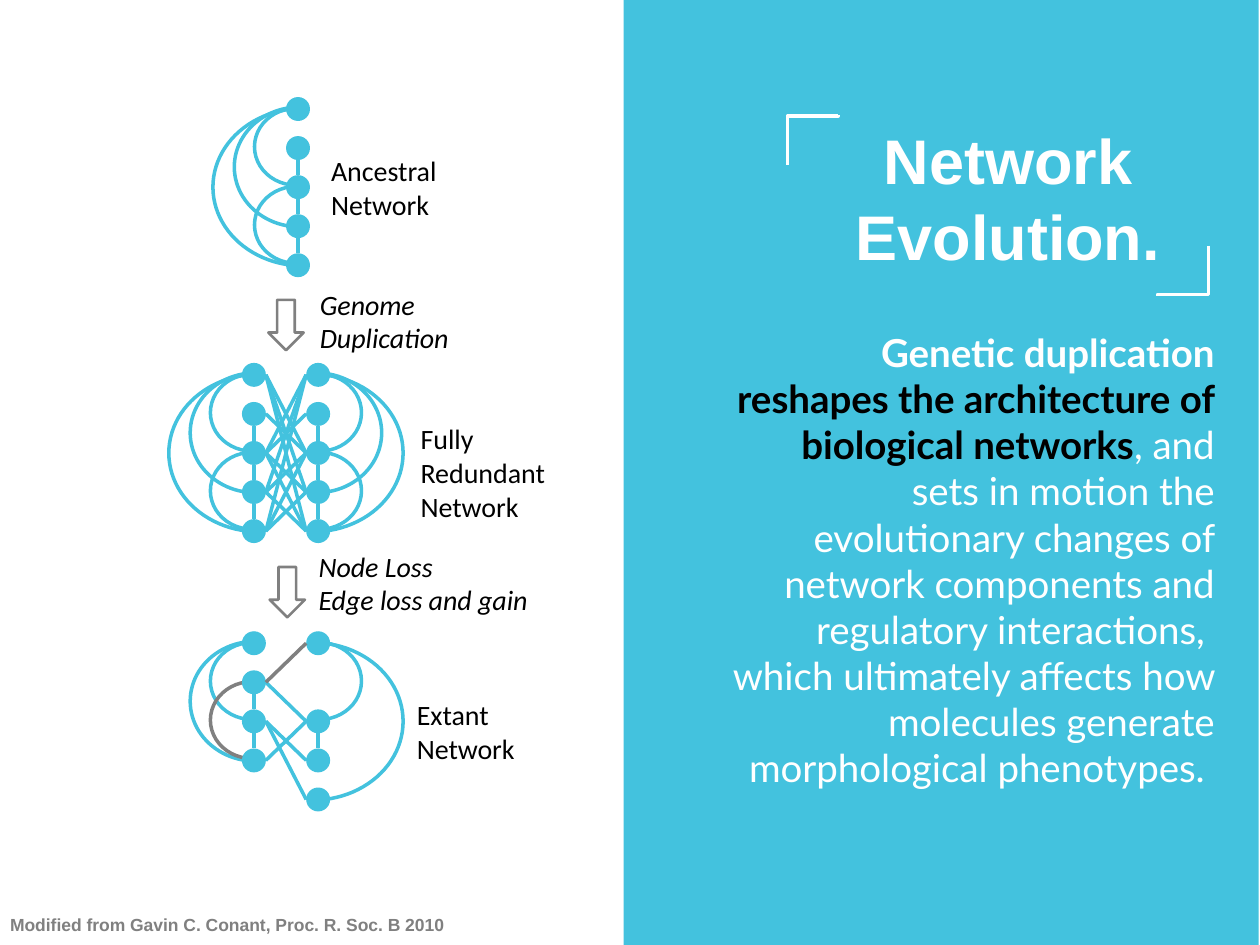
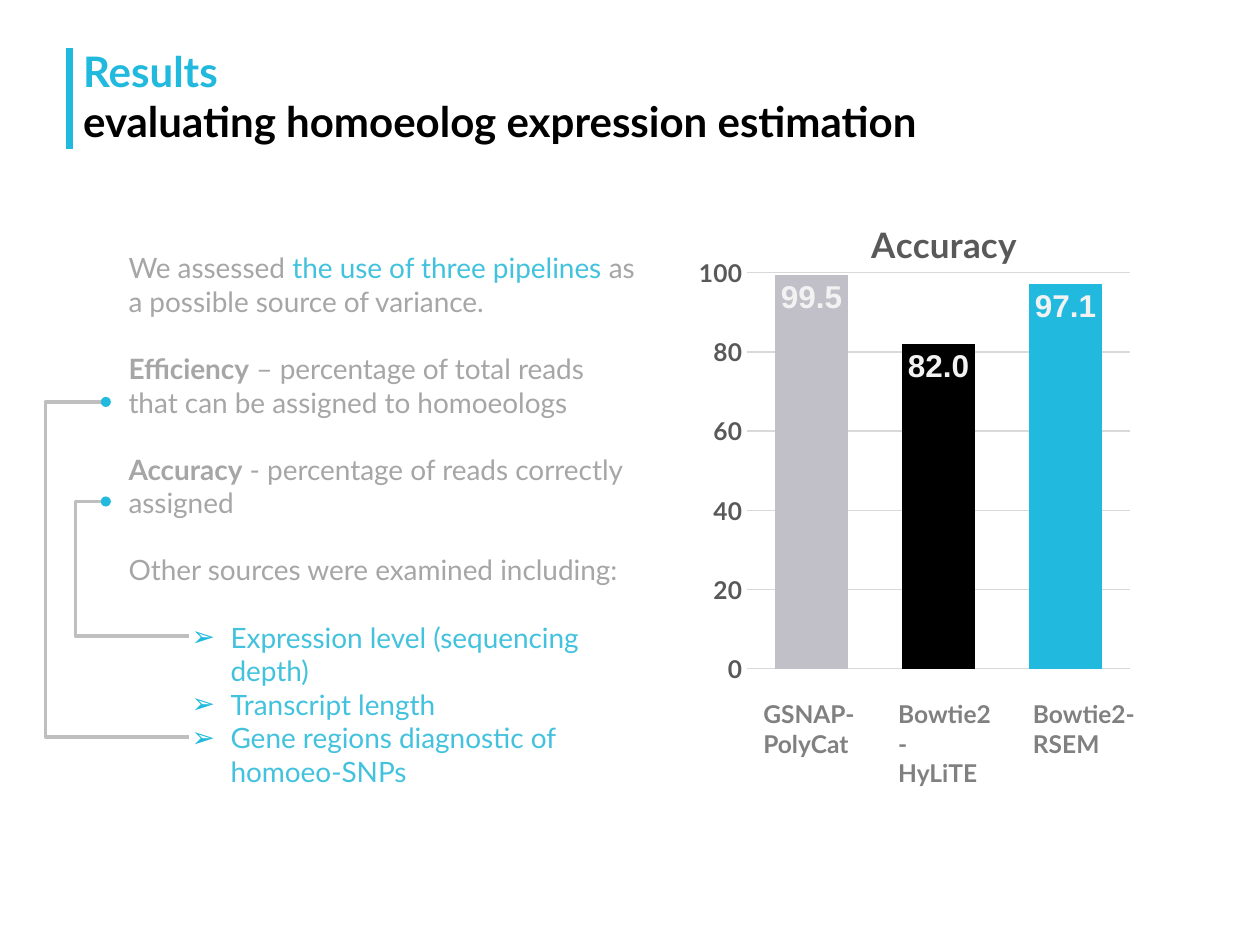
import pptx
import pptx.chart.data
import pptx.dml.color
import pptx.enum.chart
import pptx.enum.shapes
import pptx.enum.text
import pptx.oxml
import pptx.oxml.ns
import pptx.util

PX = 9144  # EMU in one px, 100 px to the inch
COLOURS = {
    "sky": "43C2DE", "cyan": "21B9DE", "white": "FFFFFF", "black": "000000",
    "grey": "808080", "pale": "A6A6A6", "silver": "BFBFBF", "lilac": "C1C0C8",
    "grid": "D9D9D9", "axis": "595959", "label": "F2F2F2",
}
SHAPE = pptx.enum.shapes.MSO_SHAPE
CONNECTOR = pptx.enum.shapes.MSO_CONNECTOR
ALIGN = pptx.enum.text.PP_ALIGN
LATO = {"name": "Lato"}
CAPTION = {"name": "Calibri", "size": 16, "color": "black"}
ITALIC = {**CAPTION, "italic": True}

NODE = 19
ROW_PITCH = 31
# rows spanned by an arc: (width, height, left and top relative to its upper node)
ARCS = {2: (66, 61, -25, 9), 3: (103, 95, -41, 8), 4: (143, 125, -58, 9)}
ANCESTRAL_EDGES = [(0, 4), (0, 2), (2, 4), (0, 3), (1, 2), (2, 3), (3, 4)]


def px(*lengths):
    return [pptx.util.Emu(length * PX) for length in lengths]


def rgb(colour):
    return pptx.dml.color.RGBColor.from_string(COLOURS[colour])


def set_font(font, formats):
    for name, value in formats.items():
        if name == "color":
            font.color.rgb = rgb(value)
        else:
            setattr(font, name, pptx.util.Pt(value) if name == "size" else value)


def add_element(parent, tag, **attributes):
    child = pptx.oxml.ns.qn(tag)
    child = parent.makeelement(child, attributes)
    parent.append(child)
    return child


def write(frame, paragraphs, align=ALIGN.LEFT, **frame_formats):
    """Fill a frame; each paragraph is a list of (text, formats) runs."""
    formats = {"word_wrap": True, "auto_size": pptx.enum.text.MSO_AUTO_SIZE.NONE,
               "vertical_anchor": pptx.enum.text.MSO_ANCHOR.TOP, **frame_formats}
    for name, value in formats.items():
        setattr(frame, name, value)
    for index, runs in enumerate(paragraphs):
        paragraph = frame.add_paragraph() if index else frame.paragraphs[0]
        paragraph.alignment = align
        paragraph.space_before = pptx.util.Pt(0)
        for text, run_formats in runs:
            run = paragraph.add_run()
            run.text = text
            set_font(run.font, run_formats)


def move(shape, box):
    for name, value in zip(("left", "top", "width", "height"), px(*box)):
        setattr(shape, name, value)


def add_caption(slide, box, lines, formats=CAPTION, **frame_formats):
    frame = slide.shapes.add_textbox(*px(*box)).text_frame
    write(frame, [[(line, formats)] for line in lines], **frame_formats)


def add_shape(slide, kind, box, fill=None, line=None, width=2):
    shape = slide.shapes.add_shape(kind, *px(*box))
    shape.shadow.inherit = False
    if fill:
        shape.fill.solid()
        shape.fill.fore_color.rgb = rgb(fill)
    else:
        shape.fill.background()
    if line:
        shape.line.color.rgb = rgb(line)
        shape.line.width = pptx.util.Pt(width)
    else:
        shape.line.fill.background()
    return shape


def add_line(slide, start, end, colour, width=2, kind=CONNECTOR.STRAIGHT):
    line = slide.shapes.add_connector(kind, *px(*start, *end))
    line.line.color.rgb = rgb(colour)
    line.line.width = pptx.util.Pt(width)
    add_element(line._element.spPr, "a:effectLst")
    return line


def add_elbow(slide, start, end, colour, bend, degrees=0):
    """Draw a bent connector that turns at a percentage of its width."""
    properties = add_line(slide, start, end, colour, kind=CONNECTOR.ELBOW)._element.spPr
    guides = properties.prstGeom.get_or_add_avLst()
    add_element(guides, "a:gd", name="adj1", fmla=f"val {round(bend * 1000)}")
    if degrees:
        properties.xfrm.set("rot", str(degrees * 60000))


def strip_bullet(paragraph):
    properties = paragraph._p.get_or_add_pPr()
    properties.set("marL", "0")
    properties.set("indent", "0")
    add_element(properties, "a:buNone")


def add_arrow_bullet(paragraph):
    indent, hanging = px(81, -31)
    properties = paragraph._p.get_or_add_pPr()
    properties.set("marL", str(indent))
    properties.set("indent", str(hanging))
    colour = add_element(properties, "a:buClr")
    add_element(colour, "a:srgbClr", val=COLOURS["cyan"])
    add_element(properties, "a:buFont", typeface="Arial")
    add_element(properties, "a:buChar", char="➢")


def gene_column(slide, left, top, rows, edges, mirrored=False, gained=()):
    """Stack nodes; neighbours get a straight edge, the others an arc."""
    for upper, lower in edges:
        colour = "grey" if (upper, lower) in gained else "sky"
        y = top + upper * ROW_PITCH
        if lower - upper == 1:
            x = left + NODE / 2
            add_line(slide, (x, y + NODE), (x, y + ROW_PITCH), colour)
            continue
        width, height, dx, dy = ARCS[lower - upper]
        if mirrored:
            dx = NODE - dx - width
        arc = add_shape(slide, SHAPE.ARC, (left + dx, y + dy, width, height), line=colour)
        # 54 is 90 degrees and 162 is 270 degrees
        for index, angle in enumerate((162, 54) if mirrored else (54, 162)):
            arc.adjustments[index] = angle
    for row in rows:
        add_shape(slide, SHAPE.OVAL, (left, top + row * ROW_PITCH, NODE, NODE), "sky")


def cross_edges(slide, left, right, top, edges, gained=()):
    for left_row, right_row in edges:
        start, end = (top + row * ROW_PITCH + NODE / 2 for row in (left_row, right_row))
        colour = "grey" if (left_row, right_row) in gained else "sky"
        add_line(slide, (left + NODE, start), (right, end), colour)


def ancestral_network(slide, left, top):
    gene_column(slide, left, top, range(5), ANCESTRAL_EDGES)
    add_caption(slide, (left + 26, top + 40, 150, 64), ["Ancestral Network"])


def redundant_network(slide, left, top):
    right = left + 51
    gene_column(slide, left, top, range(5), ANCESTRAL_EDGES)
    gene_column(slide, right, top, range(5), ANCESTRAL_EDGES, mirrored=True)
    swapped = [(lower, upper) for upper, lower in ANCESTRAL_EDGES]
    cross_edges(slide, left, right, top, ANCESTRAL_EDGES + swapped)
    add_caption(slide, (left + 132, top + 42, 150, 91), ["Fully", "Redundant", "Network"])


def extant_network(slide, left, top):
    right = left + 51
    gene_column(slide, left, top, range(4), [(0, 2), (0, 3), (1, 2), (2, 3), (1, 3)],
                gained=[(1, 3)])
    gene_column(slide, right, top, (0, 2, 3, 4), [(0, 4), (0, 2), (2, 3)], mirrored=True)
    cross_edges(slide, left, right, top, [(2, 4), (2, 3), (3, 2), (1, 2), (1, 0)],
                gained=[(1, 0)])
    add_caption(slide, (left + 129, top + 48, 150, 64), ["Extant", "Network"])


def evolution_step(slide, left, top, caption_box, lines):
    add_shape(slide, SHAPE.DOWN_ARROW, (left, top, 28, 40), line="grey", width=1.5)
    add_caption(slide, caption_box, lines, ITALIC)


def message_panel(slide, left):
    panel = add_shape(slide, SHAPE.RECTANGLE, (left, 0, 504, 750), "sky")
    slide.shapes._spTree.insert(2, panel._element)

    title = slide.shapes.title
    move(title, (left + 143, 92, 324, 80))
    heading = {"name": "Arial", "size": 36, "color": "white", "bold": True}
    write(title.text_frame, [[("Network Evolution.", heading)]], ALIGN.CENTER)
    title.text_frame.paragraphs[0].line_spacing = pptx.util.Pt(43)
    for x, y, degrees in ((left + 130, 91, 90), (left + 424, 195, 270)):
        add_elbow(slide, (x + 40, y + 40), (x, y), "white", 96.7, degrees)

    message = slide.placeholders[1]
    move(message, (left + 72, 256, 407, 380))
    plain = {**LATO, "size": 22, "color": "white", "bold": False}
    strong = {**plain, "bold": True}
    write(message.text_frame, [[
        ("Genetic duplication ", strong),
        ("reshapes the architecture of biological networks", {**strong, "color": "black"}),
        (", and sets in motion the evolutionary changes of network components and "
         "regulatory interactions,  which ultimately affects how molecules generate "
         "morphological phenotypes. ", plain),
    ]], ALIGN.RIGHT)
    strip_bullet(message.text_frame.paragraphs[0])


def evolution_slide(deck):
    slide = deck.slides.add_slide(deck.slide_layouts[1])
    message_panel(slide, 495)
    ancestral_network(slide, 227, 77)
    evolution_step(slide, 213, 238, (244, 223, 150, 64), ["Genome", "Duplication"])
    redundant_network(slide, 192, 288)
    evolution_step(slide, 214, 450, (243, 431, 299, 64), ["Node Loss", "Edge loss and gain"])
    extant_network(slide, 192, 501)
    add_caption(slide, (8, 725, 429, 25), ["Modified from Gavin C. Conant, Proc. R. Soc. B 2010"],
                {"name": "Arial", "size": 10, "color": "grey", "bold": True},
                **{f"margin_{side}": 0 for side in ("left", "top", "right", "bottom")})


def results_title(slide, left, top):
    heading = {**LATO, "size": 24, "bold": True, "color": "cyan"}
    move(slide.shapes.title, (left + 1, top - 7, 743, 91))
    write(slide.shapes.title.text_frame, [
        [("Results", heading)],
        [("evaluating homoeolog expression estimation", {**heading, "color": "black"})],
    ])
    add_line(slide, (left, top), (left, top + 80), "cyan", 4)


def assessment_text(slide, box):
    plain = {**LATO, "size": 16, "color": "pale", "bold": False}
    strong, accent = {**plain, "bold": True}, {**plain, "color": "sky"}
    sources = ["Expression level (sequencing depth)", "Transcript length",
               "Gene regions diagnostic of homoeo-SNPs"]
    statements = [
        [("We assessed ", plain), ("the use of three pipelines ", accent),
         ("as a possible source of variance.", plain)],
        [("Efficiency", strong),
         (" – percentage of total reads that can be assigned to homoeologs", plain)],
        [("Accuracy", strong), (" - percentage of reads correctly assigned", plain)],
        [("Other sources were examined including:", plain)],
    ]
    body = slide.placeholders[1]
    move(body, box)
    write(body.text_frame, statements + [[(source, accent)] for source in sources])
    for index, paragraph in enumerate(body.text_frame.paragraphs):
        if index < len(statements):
            strip_bullet(paragraph)
        else:
            paragraph.level = 1
            add_arrow_bullet(paragraph)
        if 0 < index <= len(statements):
            paragraph.space_before = pptx.util.Pt(19.2)


def measure_link(slide, left, top, bottom, bend):
    """Tie a measure in the text to the source that affects it."""
    add_elbow(slide, (left, top), (left + 70, bottom), "silver", bend)
    add_shape(slide, SHAPE.OVAL, (left, top - 4, 8, 8), "cyan")


def lay_out(part, index, target=None, **fractions):
    """Fix a chart part at fractions of the chart's size."""
    for automatic in part.findall(pptx.oxml.ns.qn("c:layout")):
        part.remove(automatic)
    layout = add_element(part, "c:layout")
    part.insert(index, layout)
    manual = add_element(layout, "c:manualLayout")
    if target:
        add_element(manual, "c:layoutTarget", val=target)
    for mode in ("c:xMode", "c:yMode"):
        add_element(manual, mode, val="edge")
    for name, value in fractions.items():
        add_element(manual, f"c:{name}", val=str(value))


def accuracy_chart(slide, box):
    data = pptx.chart.data.CategoryChartData()
    data.categories = ["1"]
    for number, accuracy in enumerate((99.5, 82, 97.1), 1):
        data.add_series(f"Series {number}", [accuracy])
    kinds = pptx.enum.chart
    chart = slide.shapes.add_chart(kinds.XL_CHART_TYPE.COLUMN_CLUSTERED, *px(*box), data).chart
    chart.has_legend = False
    set_font(chart.font, {"name": "Calibri", "size": 10, "color": "black"})
    axis_font = {**LATO, "size": 14, "color": "axis", "bold": True}
    write(chart.chart_title.text_frame, [[("Accuracy", {**axis_font, "size": 20})]], ALIGN.CENTER)
    lay_out(chart.chart_title._element, 1, x=0.4, y=0.16)
    lay_out(chart._chartSpace.chart.plotArea, 0, "inner", x=0.155, y=0.134, w=0.797, h=0.826)

    chart.category_axis.visible = False
    axis = chart.value_axis
    for name, value in {"minimum_scale": 0, "maximum_scale": 119, "major_unit": 20,
                        "major_tick_mark": kinds.XL_TICK_MARK.NONE}.items():
        setattr(axis, name, value)
    axis.tick_labels.number_format = "0"
    axis.tick_labels.number_format_is_linked = False
    set_font(axis.tick_labels.font, axis_font)
    axis.format.line.fill.background()
    axis.major_gridlines.format.line.color.rgb = rgb("grid")
    axis.major_gridlines.format.line.width = pptx.util.Pt(0.75)

    plot = chart.plots[0]
    plot.gap_width, plot.overlap, plot.vary_by_categories = 78, -76, False
    for series, colour in zip(plot.series, ("lilac", "black", "cyan")):
        series.format.fill.solid()
        series.format.fill.fore_color.rgb = rgb(colour)
        for name, value in {"show_value": True, "number_format": "0.0",
                            "number_format_is_linked": False,
                            "position": kinds.XL_LABEL_POSITION.INSIDE_END}.items():
            setattr(series.data_labels, name, value)
        set_font(series.data_labels.font,
                 {"name": "Arial", "size": 18, "color": "label", "bold": True})


def results_slide(deck):
    slide = deck.slides.add_slide(deck.slide_layouts[1])
    results_title(slide, 55, 38)
    assessment_text(slide, (92, 194, 425, 468))
    measure_link(slide, 80, 319, 585, -62.7)
    measure_link(slide, 80, 398, 505, -28.7)
    accuracy_chart(slide, (534, 96, 381, 453))
    pipelines = (("GSNAP-", "PolyCat", 96), ("Bowtie2-", "HyLiTE", 97), ("Bowtie2-", "RSEM", 123))
    for column, (aligner, caller, width) in enumerate(pipelines):
        add_caption(slide, (596 + column * 107, 550, width, 57), [aligner, caller],
                    {**LATO, "size": 14, "color": "grey", "bold": True})


def main():
    deck = pptx.Presentation()
    deck.slide_width, deck.slide_height = px(1000, 750)
    evolution_slide(deck)
    results_slide(deck)
    deck.save("out.pptx")


if __name__ == "__main__":
    main()
